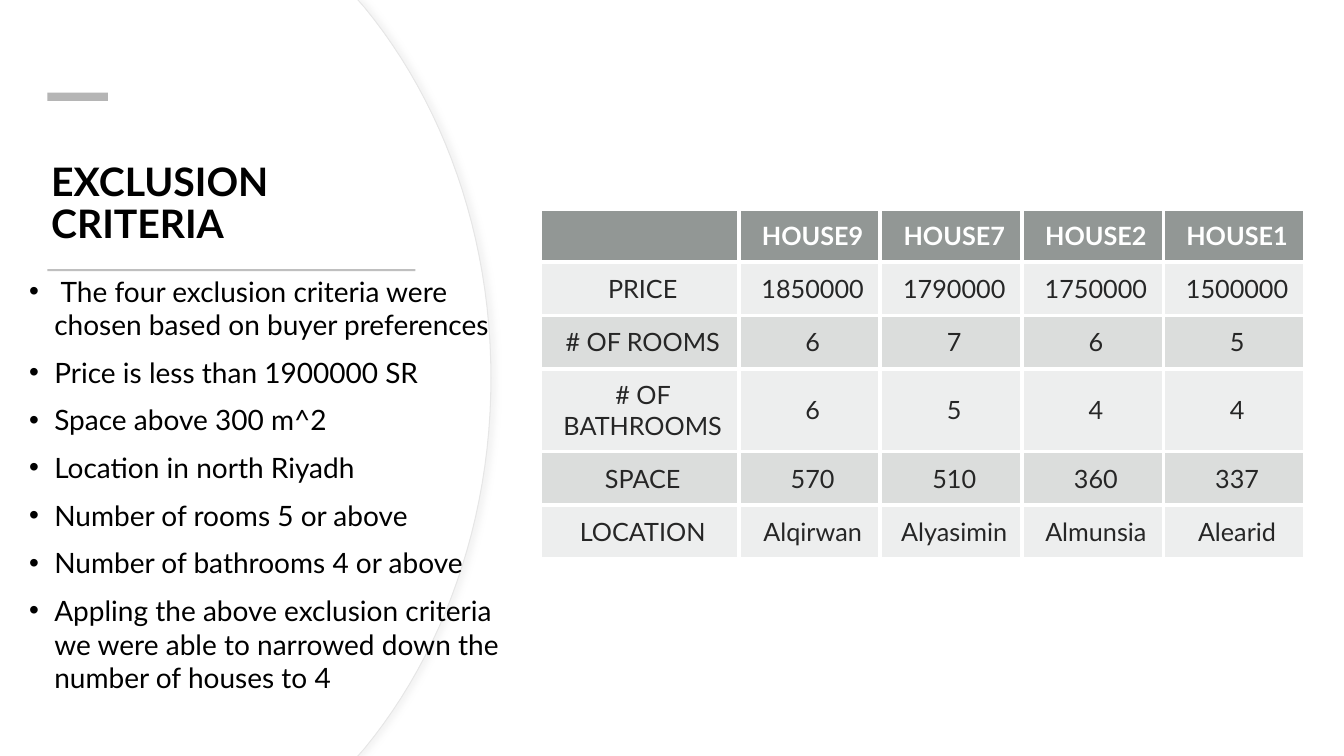
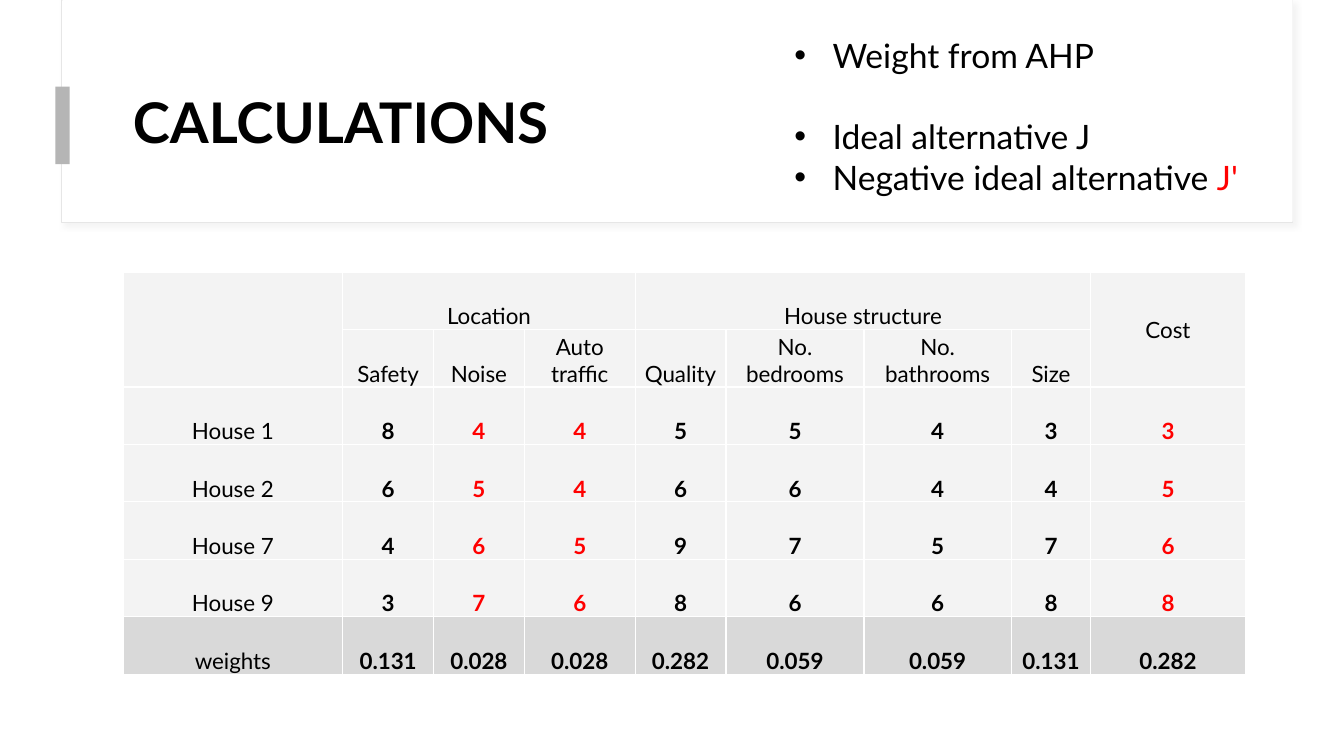
"""Build two house-selection slides: exclusion criteria and calculations."""
from lxml.etree import SubElement
from pptx import Presentation
from pptx.dml.color import RGBColor
from pptx.enum.shapes import MSO_SHAPE
from pptx.enum.text import MSO_ANCHOR, PP_ALIGN
from pptx.oxml import parse_xml
from pptx.oxml.ns import nsdecls, qn
from pptx.util import Inches, Pt

FONT = "Lato"
COLORS = {
    "white": "FFFFFF", "black": "000000", "red": "FF0000", "ink": "262626",
    "edge": "E6E6E6", "shadow": "D9D9D9", "accent": "B5B5B5", "rule": "BFBFBF",
    "header": "929795", "light": "EDEEEE", "dark": "DBDDDC",
    "grid": "F3F3F3", "weights": "D9D9D9",
}


def finish_shape(shape, fill, shadow_angle=None):
    shape.shadow.inherit = False
    shape.fill.solid()
    shape.fill.fore_color.rgb = RGBColor.from_string(COLORS[fill])
    if shadow_angle is None:
        shape.line.fill.background()
        return
    shape.line.color.rgb = RGBColor.from_string(COLORS["edge"])
    shape.line.width = Pt(0.75)
    effects = shape.element.spPr.find(qn("a:effectLst"))
    effects.append(parse_xml(
        f'<a:outerShdw {nsdecls("a")} blurRad="{Pt(4)}" dist="{Pt(3)}" dir="{shadow_angle * 60000}">'
        f'<a:srgbClr val="{COLORS["shadow"]}"><a:alpha val="30000"/></a:srgbClr></a:outerShdw>'))


def fill_cell(cell, text, size, color, bold, fill, border, margins, anchor):
    cell.text_frame.text = text
    para = cell.text_frame.paragraphs[0]
    para.alignment = PP_ALIGN.CENTER
    para.font.name = FONT
    para.font.size = Pt(size)
    para.font.bold = bold
    para.font.color.rgb = RGBColor.from_string(COLORS[color])
    cell.vertical_anchor = anchor
    cell.margin_left, cell.margin_top, cell.margin_right, cell.margin_bottom = map(Inches, margins)
    properties = cell._tc.get_or_add_tcPr()
    for side in "LRTB":
        properties.append(parse_xml(
            f'<a:ln{side} {nsdecls("a")} w="{Pt(border)}"><a:solidFill>'
            f'<a:srgbClr val="{COLORS["white"]}"/></a:solidFill></a:ln{side}>'))
    cell.fill.solid()
    cell.fill.fore_color.rgb = RGBColor.from_string(COLORS[fill])


deck = Presentation()
deck.slide_width, deck.slide_height = Inches(13.33), Inches(7.5)
criteria, calculations = [deck.slides.add_slide(deck.slide_layouts[6]) for _ in range(2)]

curve = [(3.62, 0.08), (4.39, 1.02), (4.87, 2.32), (4.87, 3.75)]
upper_arc = []
for step in range(25):
    t = step / 24
    weights = [(1 - t) ** 3, 3 * t * (1 - t) ** 2, 3 * t ** 2 * (1 - t), t ** 3]
    upper_arc.append([sum(w * point[axis] for w, point in zip(weights, curve)) for axis in (0, 1)])
lower_arc = [(x, 7.5 - y) for x, y in reversed(upper_arc[:-1])]
outline = [(3.55, 0), *upper_arc, *lower_arc, (3.55, 7.5), (0, 7.5)]

for inset, shadow_angle in ((0, 0), (0.01, None)):
    builder = criteria.shapes.build_freeform(0, 0)
    builder.add_line_segments([(Inches(max(x - inset, 0)), Inches(y)) for x, y in outline])
    finish_shape(builder.convert_to_shape(), "white", shadow_angle)

rectangles = [
    (criteria, (0.47, 0.92, 0.6, 0.08), "accent", None),
    (criteria, (0.47, 2.67, 3.65, 0.02), "rule", None),
    (calculations, (0.61, 0, 12.21, 2.21), "white", 45),
    (calculations, (0.62, 0, 12.2, 2.2), "white", None),
    (calculations, (0.55, 0.86, 0.14, 0.77), "accent", None),
]
for page, place, fill, shadow_angle in rectangles:
    shape = page.shapes.add_shape(MSO_SHAPE.RECTANGLE, *map(Inches, place))
    finish_shape(shape, fill, shadow_angle)

titles = [
    (criteria, (0.41, 1.27, 3.76, 1.23), "EXCLUSION CRITERIA", 28, MSO_ANCHOR.BOTTOM),
    (calculations, (1.22, 0.6, 4.59, 1.29), "CALCULATIONS", 40, MSO_ANCHOR.MIDDLE),
]
for page, place, text, size, anchor in titles:
    box = page.shapes.add_textbox(*map(Inches, place))
    box.text_frame.word_wrap = True
    box.text_frame.vertical_anchor = anchor
    box.text_frame.text = text
    para = box.text_frame.paragraphs[0]
    para.line_spacing = 0.9
    para.font.name = FONT
    para.font.size = Pt(size)
    para.font.bold = True
    para.font.color.rgb = RGBColor.from_string(COLORS["black"])

bullet_lists = [
    (criteria, (0.19, 2.67, 5.16, 4.83), 20, 0.25, [
        (" The four exclusion criteria were chosen based on buyer preferences", 10),
        ("Price is less than 1900000 SR", 10),
        ("Space above 300 m^2", 10),
        ("Location in north Riyadh", 10),
        ("Number of rooms 5 or above", 10),
        ("Number of bathrooms 4 or above", 10),
        ("Appling the above exclusion criteria we were able to narrowed down the number of houses to 4", 10),
    ]),
    (calculations, (7.78, 0.3, 4.94, 1.72), 24, 0.38, [
        ("Weight from AHP", 0),
        ("Ideal alternative J", 29),
        ("Negative ideal alternative ", 0),
    ]),
]
for page, place, size, indent, items in bullet_lists:
    box = page.shapes.add_textbox(*map(Inches, place))
    box.text_frame.word_wrap = True
    box.text_frame.text = "\n".join(text for text, _ in items)
    for para, (_, space) in zip(box.text_frame.paragraphs, items):
        para.space_before = Pt(space)
        para.font.name = FONT
        para.font.size = Pt(size)
        para.font.color.rgb = RGBColor.from_string(COLORS["black"])
        properties = para._p.get_or_add_pPr()
        properties.set("marL", str(Inches(indent)))
        properties.set("indent", str(-Inches(indent)))
        bullet_font = SubElement(properties, qn("a:buFont"), typeface="Arial")
        bullet_font.addnext(parse_xml(f'<a:buChar {nsdecls("a")} char="•"/>'))
        properties.append(properties.find(qn("a:defRPr")))
        for span in para.runs:
            span.font.name = FONT
            span.font.size = Pt(size)
            span.font.color.rgb = RGBColor.from_string(COLORS["black"])

span = para.add_run()
span.text = "J'"
span.font.name = FONT
span.font.size = Pt(24)
span.font.color.rgb = RGBColor.from_string(COLORS["red"])

houses = [
    ["", "HOUSE9", "HOUSE7", "HOUSE2", "HOUSE1"],
    ["PRICE", "1850000", "1790000", "1750000", "1500000"],
    ["# OF ROOMS", "6", "7", "6", "5"],
    ["# OF BATHROOMS", "6", "5", "4", "4"],
    ["SPACE", "570", "510", "360", "337"],
    ["LOCATION", "Alqirwan", "Alyasimin", "Almunsia", "Alearid"],
]
scores = [
    ["", "Location", "", "", "House structure", "", "", "", "Cost"],
    ["", "Safety", "Noise", "Auto traffic", "Quality", "No. bedrooms", "No. bathrooms", "Size", ""],
    ["House 1", "8", "4", "4", "5", "5", "4", "3", "3"],
    ["House 2", "6", "5", "4", "6", "6", "4", "4", "5"],
    ["House 7", "4", "6", "5", "9", "7", "5", "7", "6"],
    ["House 9", "3", "7", "6", "8", "6", "6", "8", "8"],
    ["weights", "0.131", "0.028", "0.028", "0.282", "0.059", "0.059", "0.131", "0.282"],
]
tables = []
for page, place, rows, widths, heights in [
    (criteria, (5.36, 2.07, 7.57, 3.47), houses,
     [1.97, 1.4, 1.41, 1.4, 1.4], [0.53, 0.53, 0.53, 0.82, 0.53, 0.53]),
    (calculations, (1.22, 2.7, 11.12, 4.01), scores,
     [2.18, 0.9, 0.9, 1.1, 0.9, 1.37, 1.46, 0.79, 1.53], [0.57] * 7),
]:
    table = page.shapes.add_table(len(rows), len(widths), *map(Inches, place)).table
    for column, width in zip(table.columns, widths):
        column.width = Inches(width)
    for row, height in zip(table.rows, heights):
        row.height = Inches(height)
    tables.append(table)
house_table, score_table = tables

for r, row in enumerate(houses):
    fill = "header" if r == 0 else "light" if r % 2 else "dark"
    color = "white" if r == 0 else "ink"
    for c, text in enumerate(row):
        fill_cell(house_table.cell(r, c), text, 18, color, r == 0, fill, 3,
                  (0.16, 0.1, 0.1, 0.1), MSO_ANCHOR.MIDDLE)

for r, row in enumerate(scores):
    fill = "weights" if r == 6 else "grid"
    for c, text in enumerate(row):
        color = "red" if 2 <= r <= 5 and c in (2, 3, 8) else "black"
        anchor = MSO_ANCHOR.MIDDLE if text == "Cost" else MSO_ANCHOR.BOTTOM
        fill_cell(score_table.cell(r, c), text, 16, color, r >= 2 and c > 0, fill, 1,
                  (0.01, 0.01, 0.01, 0), anchor)
for first, last in [((0, 0), (1, 0)), ((0, 1), (0, 3)), ((0, 4), (0, 7)), ((0, 8), (1, 8))]:
    score_table.cell(*first).merge(score_table.cell(*last))

deck.save("out.pptx")
